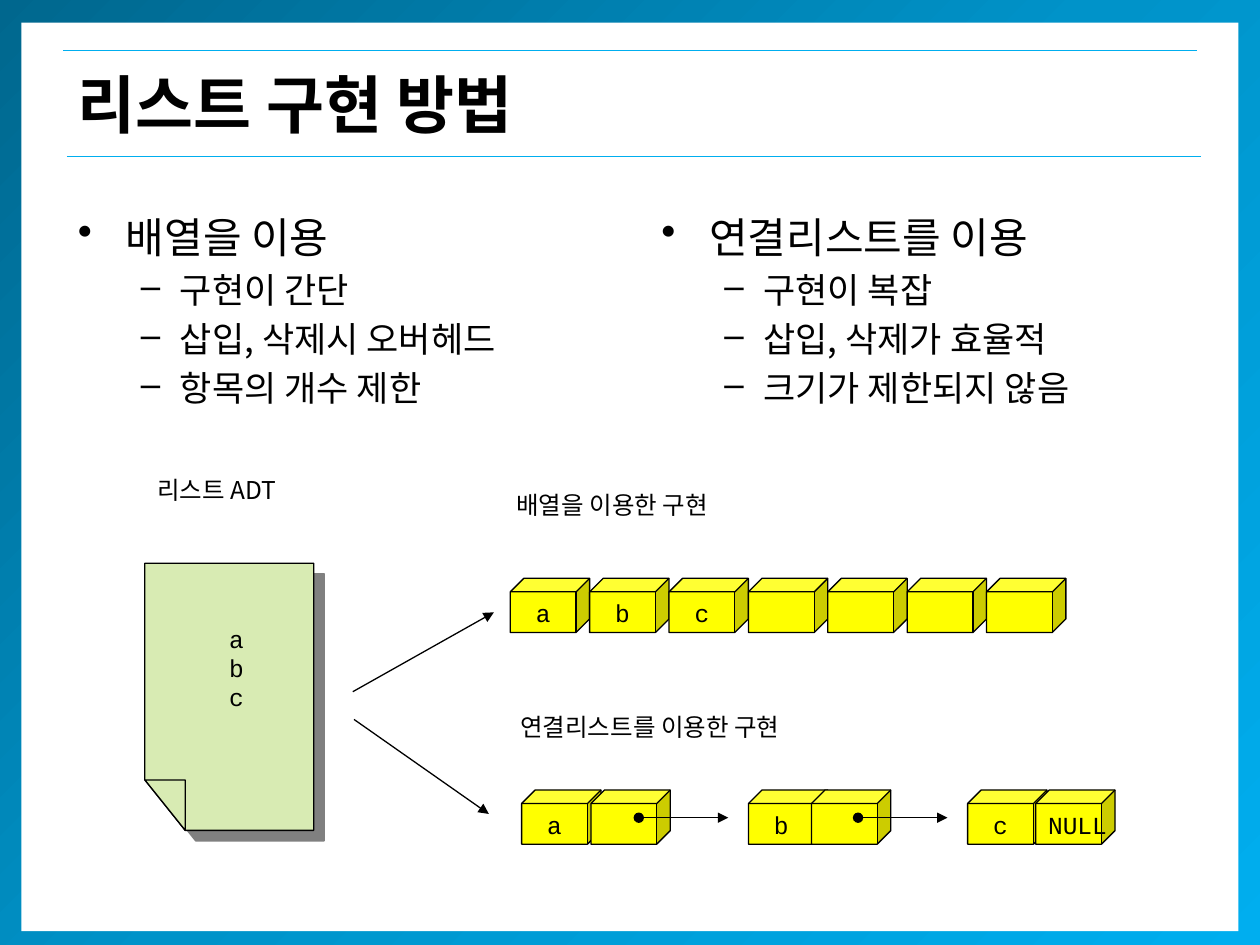
import copy
import lxml.etree
import pptx
import pptx.dml.color
import pptx.enum.shapes
import pptx.enum.text
import pptx.oxml.ns
import pptx.util

Inches = pptx.util.Inches
Pt = pptx.util.Pt
qn = pptx.oxml.ns.qn
rgb = pptx.dml.color.RGBColor.from_string
kinds = pptx.enum.shapes.MSO_SHAPE
sides = pptx.enum.text.PP_ALIGN
hold = pptx.enum.text.MSO_ANCHOR

theme = {
    "ink": "000000", "white": "FFFFFF", "rule": "00AEEF",
    "page": "D8EBB3", "cube": "FFFF00", "shade": "808080",
    "frame": ["00678E", "0093C9", "00AEEF"],
    "sans": "Noto Sans CJK KR", "mono": "Courier New",
    "title": 36, "head": 24, "item": 20, "label": 14, "line": 0.75,
}


def put(root, tag, **keys):
    return lxml.etree.SubElement(root, qn(tag), keys)


def write(shape, lines, size="label", font="sans", bold=False, side=sides.LEFT,
          hang=hold.TOP, wrap=False, marks=None):
    frame = shape.text_frame
    frame.word_wrap = wrap
    frame.vertical_anchor = hang
    for i, text in enumerate(lines):
        para = frame.paragraphs[0] if i == 0 else frame.add_paragraph()
        para.alignment = side
        run = para.add_run()
        run.text = text
        points = theme[size]
        if marks:
            level = min(i, 1)
            mark, left, back, points = marks[level]
            para.level = level
            para.space_before = Pt(points * 0.2)
            props = para._p.get_or_add_pPr()
            props.set("marL", str(Inches(left)))
            props.set("indent", str(-Inches(back)))
            put(props, "a:buChar", char=mark)
        run.font.size = Pt(points)
        run.font.bold = bold
        run.font.name = theme[font]
        run.font.color.rgb = rgb(theme["ink"])
        put(run._r.get_or_add_rPr(), "a:ea", typeface=theme[font])


deck = pptx.Presentation()
deck.slide_width = Inches(10)
deck.slide_height = Inches(7.5)
slide = deck.slides.add_slide(deck.slide_layouts[6])
shapes = slide.shapes

frame = shapes.add_shape(kinds.RECTANGLE, 0, Inches(-0.04), Inches(10), Inches(7.59))
sheet = shapes.add_shape(kinds.RECTANGLE, Inches(0.17), Inches(0.18), Inches(9.66), Inches(7.21))
for shape in (frame, sheet):
    shape.shadow.inherit = False
    shape.line.fill.background()
sheet.fill.solid()
sheet.fill.fore_color.rgb = rgb(theme["white"])
frame.fill.gradient()
frame.fill.gradient_angle = 315
stops = frame._element.spPr.find(qn("a:gradFill")).find(qn("a:gsLst"))
stops.insert(1, copy.deepcopy(stops[0]))
for stop, tint, place in zip(frame.fill.gradient_stops, theme["frame"], (0, 0.5, 1)):
    stop.color.rgb = rgb(tint)
    stop.position = place

marks = [("•", 0.38, 0.38, theme["head"]), ("–", 0.81, 0.31, theme["item"])]
columns = [
    (0.52, ["배열을 이용", "구현이 간단", "삽입, 삭제시 오버헤드", "항목의 개수 제한"]),
    (5.15, ["연결리스트를 이용", "구현이 복잡", "삽입, 삭제가 효율적", "크기가 제한되지 않음"]),
]
for x, lines in columns:
    box = shapes.add_textbox(Inches(x), Inches(1.63), Inches(4.25), Inches(2.17))
    write(box, lines, wrap=True, marks=marks)

page = [(1.15, 4.47), (2.49, 4.47), (2.49, 6.59), (1.47, 6.59), (1.15, 6.19)]
fold = [(1.15, 6.19), (1.47, 6.19), (1.47, 6.59)]
for points in (page, fold):
    spots = [(Inches(x), Inches(y)) for x, y in points]
    pen = shapes.build_freeform(*spots[0])
    pen.add_line_segments(spots[1:], close=True)
    shape = pen.convert_to_shape()
    shape.shadow.inherit = False
    shape.fill.solid()
    shape.fill.fore_color.rgb = rgb(theme["page"])
    shape.line.color.rgb = rgb(theme["ink"])
    shape.line.width = Pt(theme["line"])
    if points is page:
        glow = shape._element.spPr.find(qn("a:effectLst"))
        cast = put(glow, "a:outerShdw", dist=str(Pt(8.5)), dir="2700000",
                   algn="ctr", rotWithShape="0")
        put(cast, "a:srgbClr", val=theme["shade"])

cubes = [(4.05 + 0.63 * i, 4.59, text) for i, text in enumerate(["a", "b", "c", "", "", "", ""])]
nodes = [(4.14, 4.69, "a", ""), (5.94, 6.44, "b", ""), (7.68, 8.22, "c", "NULL")]
for left, right, item, link in nodes:
    cubes += [(left, 6.27, item), (right, 6.27, link)]
for x, y, text in cubes:
    cube = shapes.add_shape(kinds.CUBE, Inches(x), Inches(y), Inches(0.63), Inches(0.43))
    cube.shadow.inherit = False
    cube.fill.solid()
    cube.fill.fore_color.rgb = rgb(theme["cube"])
    cube.line.color.rgb = rgb(theme["ink"])
    cube.line.width = Pt(theme["line"])
    if text:
        write(cube, [text], font="mono", side=sides.LEFT if text == "NULL" else sides.CENTER)

lines = [
    (5.07, 6.49, 5.78, 6.49, "ink", "oval", "triangle"),
    (6.81, 6.49, 7.52, 6.49, "ink", "oval", "triangle"),
    (2.8, 5.49, 3.92, 4.86, "ink", "none", "triangle"),
    (2.81, 5.71, 3.88, 6.46, "ink", "none", "triangle"),
    (0.5, 0.4, 9.5, 0.4, "rule", "none", "none"),
    (0.53, 1.24, 9.53, 1.24, "rule", "none", "none"),
]
for *ends, tint, head, tail in lines:
    line = shapes.add_connector(pptx.enum.shapes.MSO_CONNECTOR.STRAIGHT, *map(Inches, ends))
    line.line.color.rgb = rgb(theme[tint])
    line.line.width = Pt(theme["line"])
    props = line._element.spPr
    stroke = props.find(qn("a:ln"))
    put(stroke, "a:headEnd", type=head)
    put(stroke, "a:tailEnd", type=tail)
    put(props, "a:effectLst")

labels = [
    (1.72, 4.9, 0.4, 1.03, ["a", "b", "c"], {"font": "mono"}),
    (4, 3.84, 2.36, 0.43, ["배열을 이용한 구현"], {}),
    (4.03, 5.6, 3.09, 0.43, ["연결리스트를 이용한 구현"], {}),
    (1.15, 3.72, 1.54, 0.43, ["리스트 ADT"], {}),
    (0.52, 0.4, 9.07, 0.84, ["리스트 구현 방법"],
     {"size": "title", "bold": True, "hang": hold.MIDDLE, "wrap": True}),
]
for *area, text, style in labels:
    write(shapes.add_textbox(*map(Inches, area)), text, **style)

deck.save("out.pptx")
